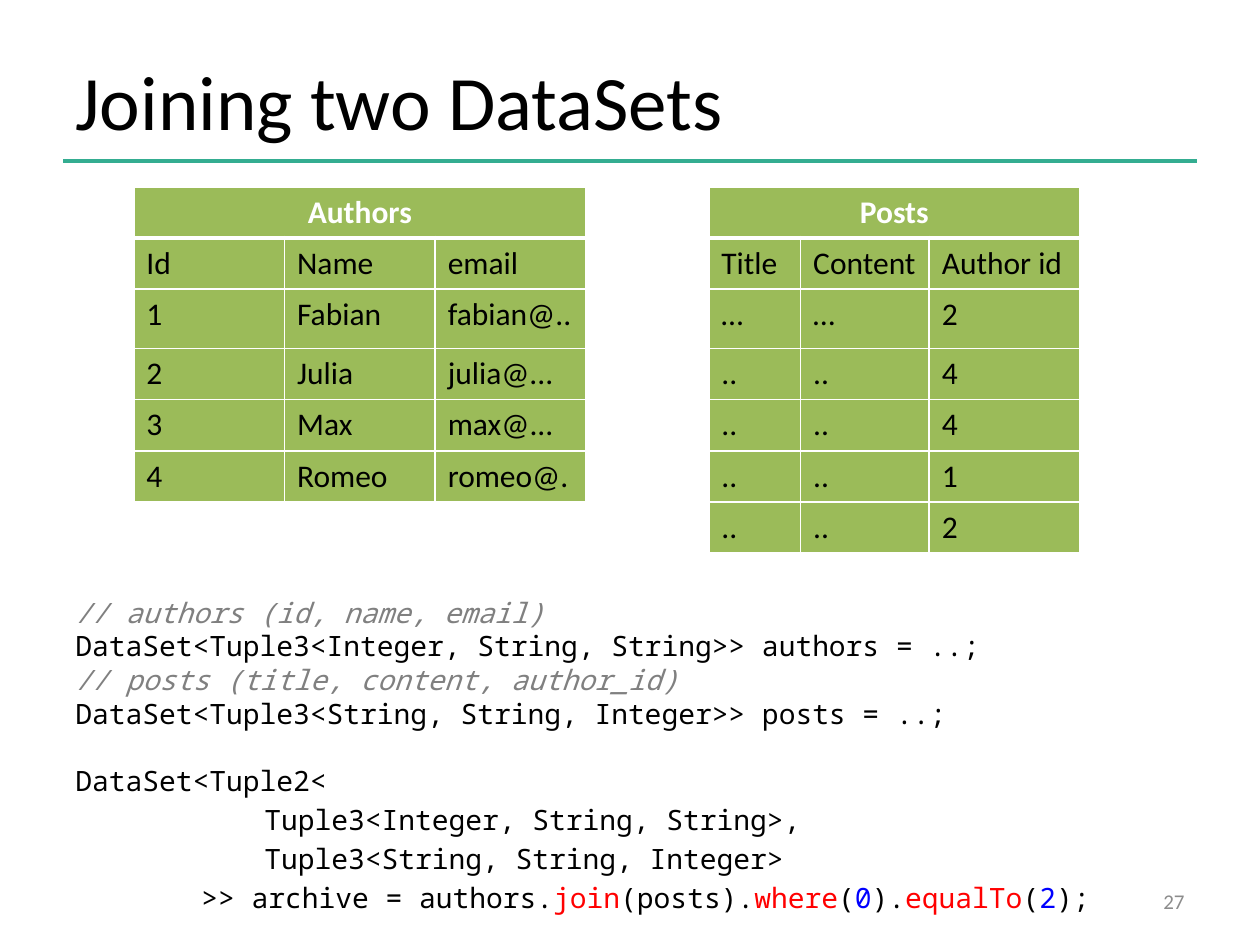
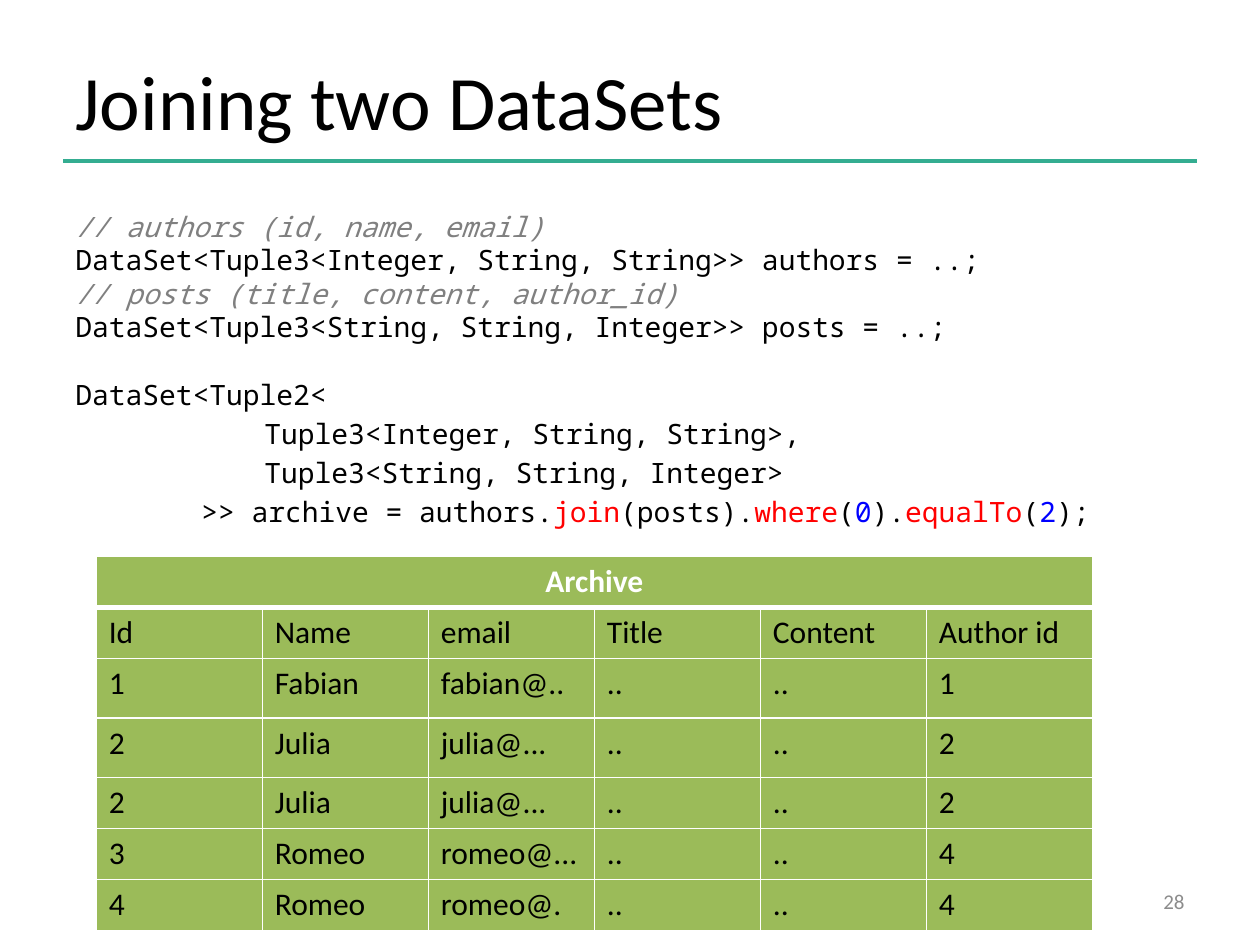
from lxml.etree import SubElement
from pptx import Presentation
from pptx.dml.color import RGBColor
from pptx.enum.shapes import MSO_CONNECTOR
from pptx.enum.text import MSO_ANCHOR, PP_ALIGN
from pptx.oxml.ns import qn
from pptx.util import Pt

BLACK = RGBColor(0, 0, 0)
WHITE = RGBColor(255, 255, 255)
TEAL = RGBColor(0x34, 0xAD, 0x91)
GREEN = RGBColor(0x9B, 0xBB, 0x59)
COMMENT = RGBColor(0x80, 0x80, 0x80)
FOOTER = RGBColor(0x8C, 0x8C, 0x8C)
RED = RGBColor(255, 0, 0)
BLUE = RGBColor(0, 0, 255)

BODY_FONT = "Calibri"
CODE_FONT = "Noto Sans Mono"
LINE_HEIGHT = 19.2
PARA_GAP = 3.2
ROW, TALL_ROW = 29.2, 34

# Each code line: indent, space before, runs of (text, colour).
CODE = [
    (0, 0, [("// authors (id, name, email)", COMMENT)]),
    (0, 0, [("DataSet<Tuple3<Integer, String, String>> authors = ..;", BLACK)]),
    (0, 0, [("// posts (title, content, author_id)", COMMENT)]),
    (0, 0, [("DataSet<Tuple3<String, String, Integer>> posts = ..;", BLACK)]),
    (0, LINE_HEIGHT, [("DataSet<Tuple2<", BLACK)]),
    (108, PARA_GAP, [("Tuple3<Integer, String, String>,", BLACK)]),
    (108, PARA_GAP, [("Tuple3<String, String, Integer>", BLACK)]),
    (72, PARA_GAP, [
        (">> archive = authors.", BLACK), ("join", RED), ("(posts).", BLACK),
        ("where", RED), ("(", BLACK), ("0", BLUE), (").", BLACK),
        ("equalTo", RED), ("(", BLACK), ("2", BLUE), (");", BLACK)]),
]

AUTHORS = [
    ("Id", "Name", "email"),
    ("1", "Fabian", "fabian@.."),
    ("2", "Julia", "julia@..."),
    ("3", "Max", "max@..."),
    ("4", "Romeo", "romeo@."),
]
POSTS = [("Title", "Content", "Author id"), ("…", "…", "2")]
POSTS += [("..", "..", author) for author in "4412"]
ARCHIVE = [AUTHORS[0] + POSTS[0]] + [
    (key, name, email, "..", "..", author) for key, name, email, author in [
        ("1", "Fabian", "fabian@..", "1"),
        ("2", "Julia", "julia@...", "2"),
        ("2", "Julia", "julia@...", "2"),
        ("3", "Romeo", "romeo@...", "4"),
        ("4", "Romeo", "romeo@.", "4")]]


def add_span(para, text, size, color, font=BODY_FONT, bold=False, italic=False):
    """Add one formatted run to a paragraph."""
    span = para.add_run()
    span.text = text
    span.font.name = font
    span.font.size = Pt(size)
    span.font.color.rgb = color
    span.font.bold = bold
    span.font.italic = italic


def add_frame(page, box, anchor=MSO_ANCHOR.TOP):
    """Add a wrapping text box and return its text frame."""
    frame = page.shapes.add_textbox(*map(Pt, box)).text_frame
    frame.word_wrap = True
    frame.vertical_anchor = anchor
    return frame


def add_page(deck, title, number):
    """Add a page with the shared title, rule and page number."""
    page = deck.slides.add_slide(deck.slide_layouts[6])
    rule = page.shapes.add_connector(
        MSO_CONNECTOR.STRAIGHT, Pt(36), Pt(92), Pt(684), Pt(92))
    rule.line.color.rgb = TEAL
    rule.line.width = Pt(2)
    SubElement(rule.element.spPr, qn("a:effectLst"))

    heading = add_frame(page, (36, 21.6, 588, 70.6), MSO_ANCHOR.MIDDLE)
    add_span(heading.paragraphs[0], title, 44, BLACK)

    footer = add_frame(page, (516, 500.5, 168, 28.8), MSO_ANCHOR.MIDDLE)
    footer.paragraphs[0].alignment = PP_ALIGN.RIGHT
    add_span(footer.paragraphs[0], str(number), 12, FOOTER)
    return page


def add_code(page, box, top_margin=3.6):
    """Write the join example in the box, starting below top_margin."""
    frame = add_frame(page, box)
    frame.margin_top = Pt(top_margin)
    for index, (indent, gap, spans) in enumerate(CODE):
        para = frame.add_paragraph() if index else frame.paragraphs[0]
        para.line_spacing = Pt(LINE_HEIGHT)
        para.space_before = Pt(gap)
        if indent:
            properties = para._p.get_or_add_pPr()
            properties.set("marL", str(Pt(indent)))
            properties.set("indent", "0")
        for text, color in spans:
            add_span(para, text, 16, color, CODE_FONT, italic=color == COMMENT)


def style_cell(cell, top=1, bottom=1):
    """Give a cell white borders and a green fill."""
    properties = cell._tc.get_or_add_tcPr()
    for side, width in (("L", 1), ("R", 1), ("T", top), ("B", bottom)):
        border = SubElement(properties, qn("a:ln" + side), w=str(Pt(width)))
        fill = SubElement(border, qn("a:solidFill"))
        SubElement(fill, qn("a:srgbClr"), val=str(WHITE))
    cell.fill.solid()
    cell.fill.fore_color.rgb = GREEN


def add_data_table(page, left, top, widths, title, records, tall_rows=(2,)):
    """Add a table with a merged title row above its records."""
    heights = [TALL_ROW if row in tall_rows else ROW
               for row in range(len(records) + 1)]
    table = page.shapes.add_table(
        len(heights), len(widths), Pt(left), Pt(top),
        Pt(sum(widths)), Pt(sum(heights))).table
    table.horz_banding = False
    for column, width in zip(table.columns, widths):
        column.width = Pt(width)
    for row, height in zip(table.rows, heights):
        row.height = Pt(height)

    for column in range(len(widths)):
        style_cell(table.cell(0, column), bottom=3)
    header = table.cell(0, 0)
    header.merge(table.cell(0, len(widths) - 1))
    para = header.text_frame.paragraphs[0]
    para.alignment = PP_ALIGN.CENTER
    add_span(para, title, 18, WHITE, bold=True)

    for row, record in enumerate(records, 1):
        for column, text in enumerate(record):
            cell = table.cell(row, column)
            style_cell(cell, top=3 if row == 1 else 1)
            add_span(cell.text_frame.paragraphs[0], text, 18, BLACK)


def add_inputs_page(deck):
    """Show the two input tables above the code."""
    page = add_page(deck, "Joining two DataSets", 27)
    add_code(page, (36, 116, 648, 391), top_margin=224.2)
    add_data_table(page, 76.5, 106.8, [86.1] * 3, "Authors", AUTHORS)
    add_data_table(page, 405, 106.8, [52.5, 73.5, 86.1], "Posts", POSTS)


def add_result_page(deck):
    """Show the code above the joined table."""
    page = add_page(deck, "Joining two DataSets", 28)
    add_code(page, (36, 116, 648, 209.5))
    add_data_table(page, 55, 317.8, [94.9] * 6, "Archive", ARCHIVE, (2, 3))


deck = Presentation()
deck.slide_width, deck.slide_height = Pt(720), Pt(540)
add_inputs_page(deck)
add_result_page(deck)
deck.save("out.pptx")
